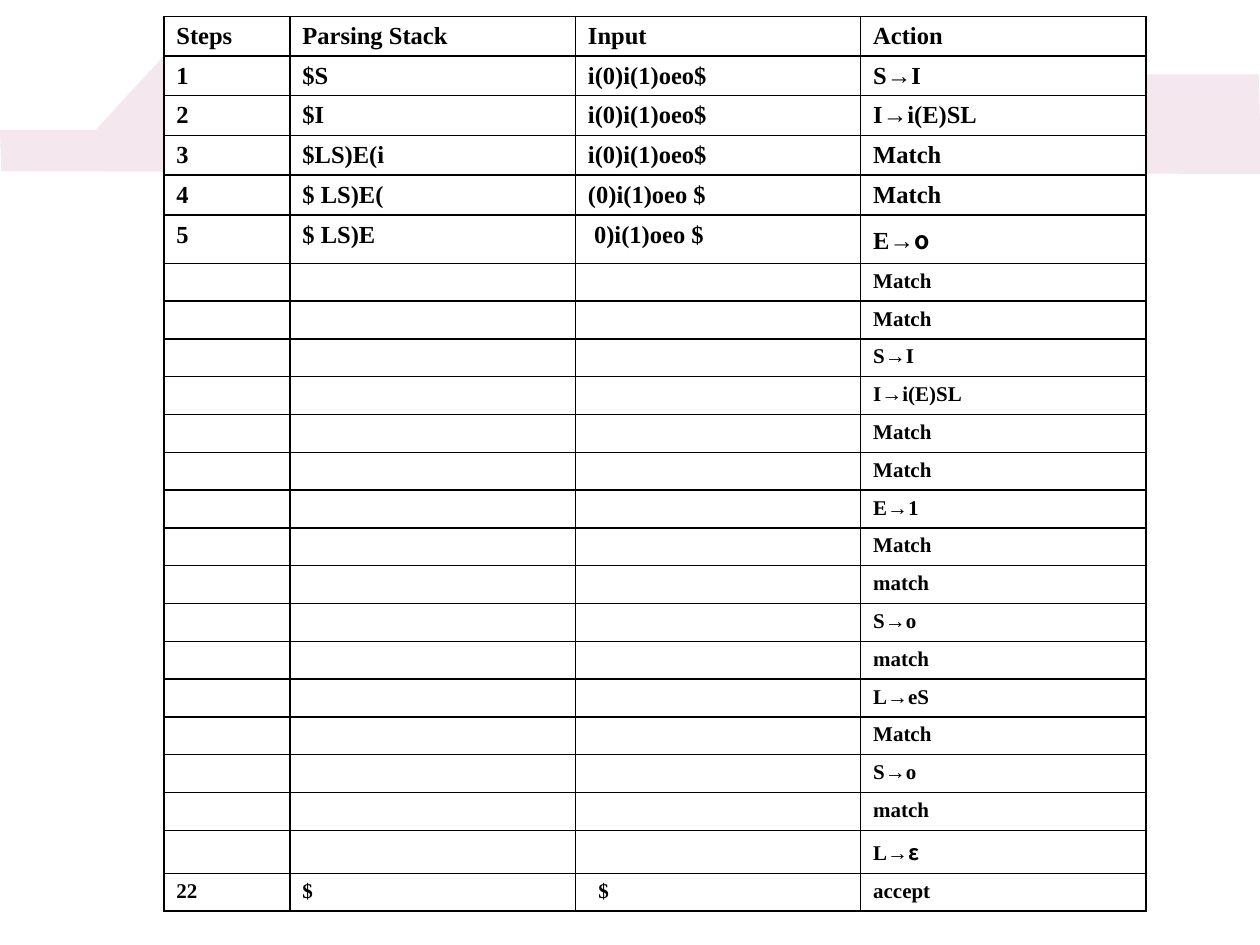
from dataclasses import dataclass

from lxml.etree import SubElement
from pptx import Presentation
from pptx.dml.color import RGBColor
from pptx.oxml.ns import qn
from pptx.util import Pt

SERIF, SANS = "Times New Roman", "Noto Sans CJK SC"
BLACK, WHITE, PINK = "000000", "FFFFFF", "F4E7ED"
WIDTHS = (72, 163.2, 163, 163.2)
HEIGHT = 21.6
BAND = ((0, 74.2), (54.7, 74.2), (97.2, 28.1), (270, 28.1),
        (283, 43.2), (719.3, 42.5), (720.7, 99.4), (0.7, 97.9))


@dataclass
class Step:
    """One row of the parse, with an optional sans tail and input indent."""
    action: str
    step: str = ""
    stack: str = ""
    text: str = ""
    tail: str = ""
    indent: float = 0
    size: float = 12


STEPS = [
    Step("Action", "Steps", "Parsing Stack", "Input", size=14),
    Step("S→I", "1", "$S", "i(0)i(1)oeo$", size=14),
    Step("I→i(E)SL", "2", "$I", "i(0)i(1)oeo$", size=14),
    Step("Match", "3", "$LS)E(i", "i(0)i(1)oeo$", size=14),
    Step("Match", "4", "$ LS)E(", "(0)i(1)oeo $", size=14),
    Step("E→", "5", "$ LS)E", "0)i(1)oeo $", tail="o", indent=3.5, size=14),
    *(Step(act) for act in (
        "Match", "Match", "S→I", "I→i(E)SL", "Match", "Match", "E→1", "Match",
        "match", "S→o", "match", "L→eS", "Match", "S→o", "match")),
    Step("L→", tail="ε"),
    Step("accept", "22", "$", "$", indent=6),
]


def color(code: str) -> RGBColor:
    """Turn a hex string into a colour."""
    return RGBColor.from_string(code)


def draw_band(slide) -> None:
    """Draw the pale band behind the table."""
    start, *rest = [(Pt(x), Pt(y)) for x, y in BAND]
    form = slide.shapes.build_freeform(*start, scale=1.0)
    form.add_line_segments(rest, close=True)
    band = form.convert_to_shape()
    band.shadow.inherit = False
    band.fill.solid()
    band.fill.fore_color.rgb = color(PINK)
    band.line.fill.background()


def add_edges(cell) -> None:
    """Give a cell a thin black line on each side."""
    props = cell._tc.get_or_add_tcPr()
    for side in ("lnL", "lnR", "lnT", "lnB"):
        line = SubElement(props, qn(f"a:{side}"), w=str(Pt(1)))
        fill = SubElement(line, qn("a:solidFill"))
        SubElement(fill, qn("a:srgbClr"), val=BLACK)


def fill_cell(cell, text: str, size: float, tail: str = "") -> None:
    """Style a cell and write its text, with any tail in the sans font."""
    add_edges(cell)
    cell.fill.solid()
    cell.fill.fore_color.rgb = color(WHITE)
    para = cell.text_frame.paragraphs[0]
    font = para.font
    font.name, font.size, font.bold = SERIF, Pt(size), True
    font.color.rgb = color(BLACK)
    if text:
        para.add_run().text = text
    else:
        SubElement(para._p, qn("a:endParaRPr"), sz=str(int(size * 100)))
    if tail:
        run = para.add_run()
        run.text = tail
        run.font.name = SANS


def draw_table(slide) -> None:
    """Draw the table of parsing steps."""
    frame = slide.shapes.add_table(
        len(STEPS), len(WIDTHS), Pt(93.6), Pt(9.3),
        Pt(sum(WIDTHS)), Pt(HEIGHT * len(STEPS)))
    table = frame.table
    table.first_row = table.horz_banding = False
    for col, width in zip(table.columns, WIDTHS):
        col.width = Pt(width)
    for row, item in zip(table.rows, STEPS):
        row.height = Pt(HEIGHT)
        step, stack, text, action = row.cells
        fill_cell(step, item.step, item.size)
        fill_cell(stack, item.stack, item.size)
        fill_cell(text, item.text, item.size)
        fill_cell(action, item.action, item.size, item.tail)
        if item.indent:
            text.margin_left = Pt(7.2 + item.indent)


def main() -> None:
    """Build the slide and save it."""
    deck = Presentation()
    deck.slide_width, deck.slide_height = Pt(720), Pt(540)
    slide = deck.slides.add_slide(deck.slide_layouts[6])
    draw_band(slide)
    draw_table(slide)
    deck.save("out.pptx")


main()
